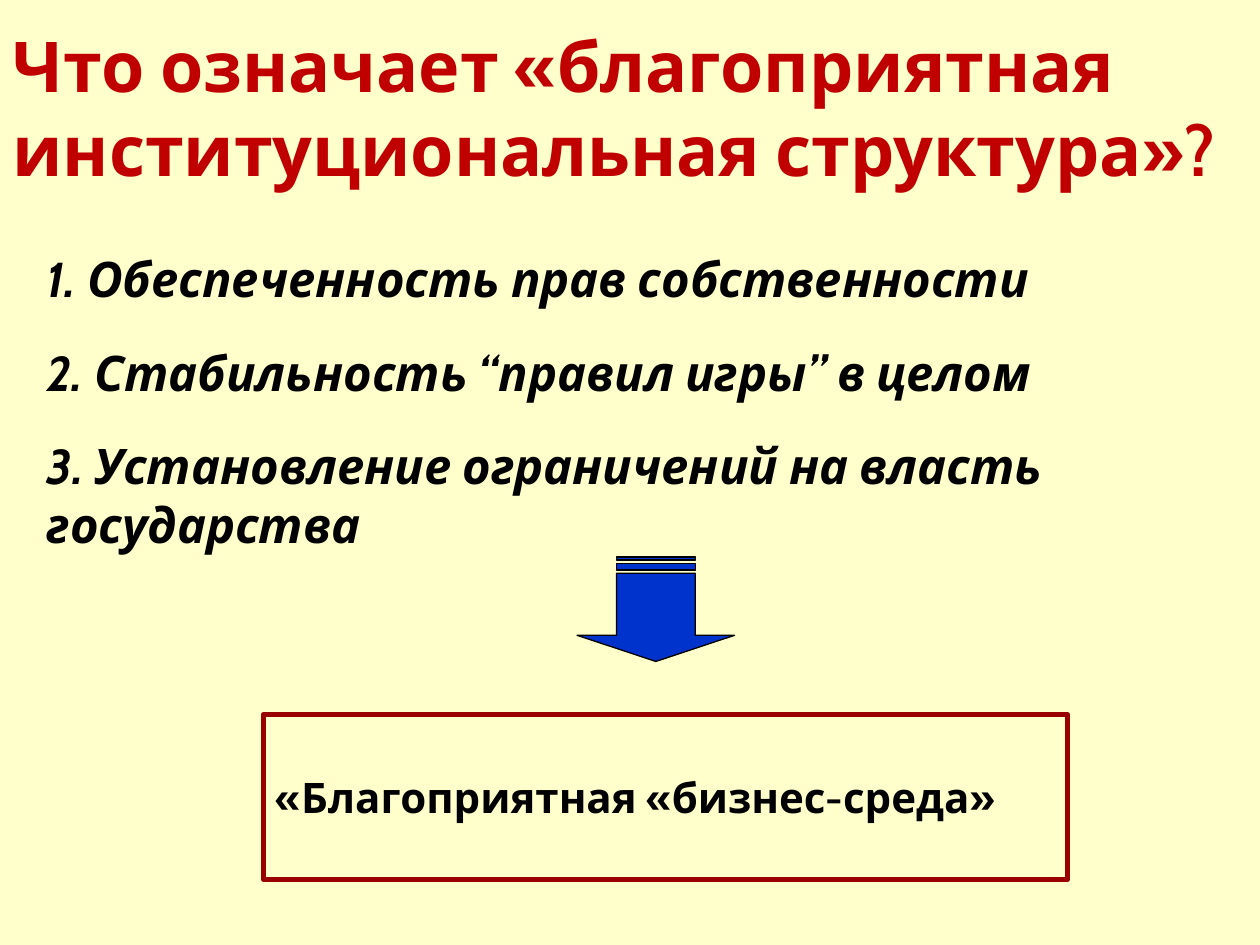
from dataclasses import dataclass

from lxml import etree
from pptx import Presentation
from pptx.dml.color import RGBColor
from pptx.enum.shapes import MSO_SHAPE
from pptx.enum.text import MSO_ANCHOR, MSO_AUTO_SIZE, PP_ALIGN
from pptx.oxml.ns import qn
from pptx.util import Inches, Pt

ARROW = MSO_SHAPE.STRIPED_RIGHT_ARROW
RECT = MSO_SHAPE.RECTANGLE
TOP, MIDDLE = MSO_ANCHOR.TOP, MSO_ANCHOR.MIDDLE
LEFT = PP_ALIGN.LEFT
NO_FIT = MSO_AUTO_SIZE.NONE


@dataclass(frozen=True)
class Theme:
    font: str = "Cabin"
    back: str = "FFFFCC"
    title: str = "C00000"
    text: str = "000000"
    arrow: str = "0033CC"
    frame: str = "990000"
    title_size: int = 40
    list_size: int = 28
    box_size: int = 24
    gap: int = 20


THEME = Theme()


def rgb(code):
    return RGBColor.from_string(code)


def place(shape, left, top, width, height):
    shape.left, shape.top = Inches(left), Inches(top)
    shape.width, shape.height = Inches(width), Inches(height)


def write(shape, text, size, color, anchor=TOP, italic=False, gap=0):
    """Fill a shape with left-aligned bold paragraphs, one per line."""
    frame = shape.text_frame
    frame.text = text
    frame.word_wrap = True
    frame.auto_size = NO_FIT
    frame.vertical_anchor = anchor
    for para in frame.paragraphs:
        para.alignment = LEFT
        para.space_before = Pt(0)
        para.space_after = Pt(gap)
        for run in para.runs:
            font = run.font
            font.name, font.size = THEME.font, Pt(size)
            font.bold, font.italic = True, italic
            font.color.rgb = rgb(color)


def clear_marks(shape):
    """Drop the bullets and the hanging indent of a list."""
    for para in shape.text_frame.paragraphs:
        props = para._p.get_or_add_pPr()
        props.set("marL", "0")
        props.set("indent", "0")
        etree.SubElement(props, qn("a:buNone"))


def add_arrow(slide, left, top, width, height):
    """Add a striped arrow turned to point down."""
    arrow = slide.shapes.add_shape(
        ARROW, Inches(left), Inches(top), Inches(width), Inches(height))
    arrow.rotation = 90
    arrow.adjustments[0] = 0.5
    arrow.adjustments[1] = 0.25
    arrow.shadow.inherit = False
    arrow.fill.solid()
    arrow.fill.fore_color.rgb = rgb(THEME.arrow)
    arrow.line.color.rgb = rgb(THEME.text)
    arrow.line.width = Pt(0.75)


def add_box(slide, text, left, top, width, height):
    """Add a framed box with no fill."""
    box = slide.shapes.add_shape(
        RECT, Inches(left), Inches(top), Inches(width), Inches(height))
    box.shadow.inherit = False
    box.fill.background()
    box.line.color.rgb = rgb(THEME.frame)
    box.line.width = Pt(3)
    write(box, text, THEME.box_size, THEME.text, anchor=MIDDLE)


def main():
    deck = Presentation()
    deck.slide_width, deck.slide_height = Inches(10), Inches(7.5)
    slide = deck.slides.add_slide(deck.slide_layouts[1])
    slide.background.fill.solid()
    slide.background.fill.fore_color.rgb = rgb(THEME.back)

    # Title
    title = slide.shapes.title
    place(title, 0, 0.13, 10, 1.45)
    write(title, "Что означает «благоприятная институциональная структура»?",
          THEME.title_size, THEME.title)

    # Conditions
    body = slide.placeholders[1]
    place(body, 0.27, 1.92, 9.53, 2.54)
    items = [
        "1. Обеспеченность прав собственности",
        "2. Стабильность “правил игры” в целом",
        "3. Установление ограничений на власть государства",
    ]
    write(body, "\n".join(items), THEME.list_size, THEME.text,
          italic=True, gap=THEME.gap)
    clear_marks(body)

    # Outcome
    add_arrow(slide, 4.79, 4.21, 0.83, 1.25)
    add_box(slide, "«Благоприятная «бизнес-среда»", 2.09, 5.67, 6.38, 1.31)

    deck.save("out.pptx")


if __name__ == "__main__":
    main()
